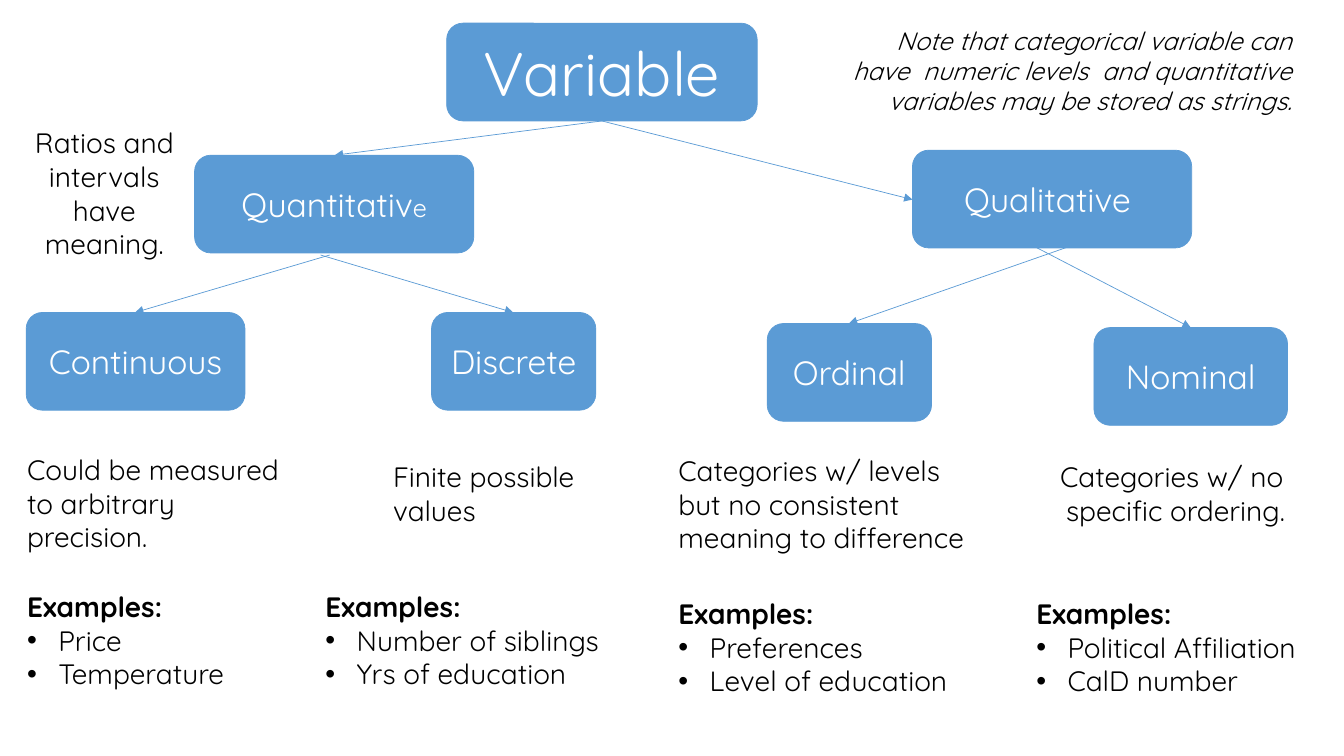
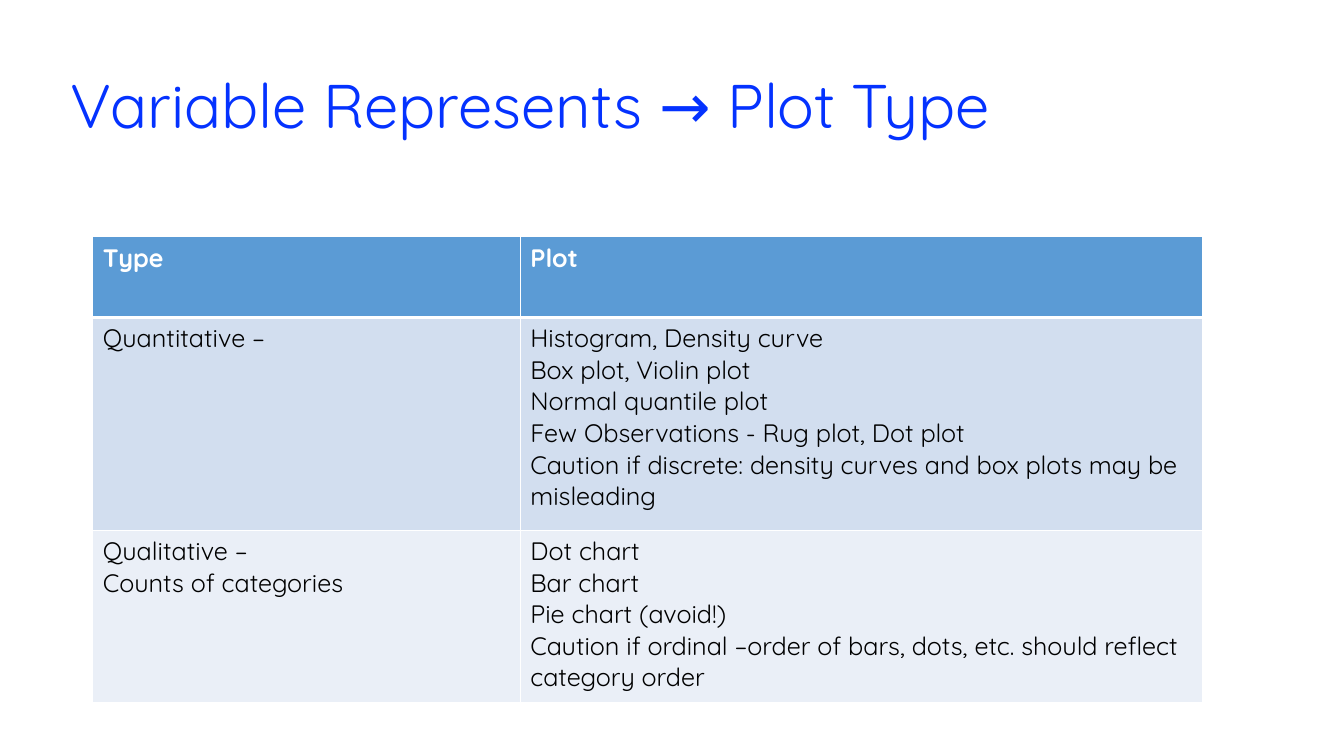
from lxml.etree import SubElement
from pptx import Presentation
from pptx.dml.color import RGBColor
from pptx.enum.shapes import MSO_CONNECTOR, MSO_SHAPE
from pptx.enum.text import MSO_ANCHOR, PP_ALIGN
from pptx.oxml.ns import qn
from pptx.util import Emu, Pt

# Shared style
PX = 9144  # 100 px to the inch
FONT = "Quicksand"
COLORS = {
    "blue": "5B9BD5",
    "title": "0432FF",
    "black": "000000",
    "white": "FFFFFF",
    "band dark": "D2DEEF",
    "band light": "EAEFF7",
}
LEFT, CENTER, RIGHT = PP_ALIGN.LEFT, PP_ALIGN.CENTER, PP_ALIGN.RIGHT


def px(*lengths):
    return [Emu(length * PX) for length in lengths]


def write(frame, text, size, color="black", align=LEFT, bold=False, italic=False):
    frame.word_wrap = True
    frame.text = text
    for para in frame.paragraphs:
        para.alignment = align
        for span in para.runs:
            span.font.name = FONT
            span.font.size = Pt(size)
            span.font.bold = bold
            span.font.italic = italic
            span.font.color.rgb = RGBColor.from_string(COLORS[color])


deck = Presentation()
deck.slide_width, deck.slide_height = px(1333, 750)
blank = deck.slide_layouts[6]
blue = RGBColor.from_string(COLORS["blue"])

# Slide 1: tree of variable types
page = deck.slides.add_slide(blank)

# Arrows between levels
arrows = [
    (597, 120, 332, 154),
    (597, 120, 905, 198),
    (327, 253, 134, 310),
    (318, 253, 509, 310),
    (1085, 236, 842, 321),
    (1021, 242, 1181, 325),
]
for ends in arrows:
    arrow = page.shapes.add_connector(MSO_CONNECTOR.STRAIGHT, *px(*ends))
    arrow.line.color.rgb = blue
    arrow.line.width = Pt(0.5)
    properties = arrow._element.spPr
    SubElement(properties.find(qn("a:ln")), qn("a:tailEnd"), type="triangle")
    SubElement(properties, qn("a:effectLst"))

# Nodes: text, left, top, width, font size
NODE_HEIGHT = 97
nodes = [
    ("Variable", 443, 23, 308, 44),
    ("Quantitative", 193, 154, 277, 24),
    ("Qualitative ", 905, 149, 277, 24),
    ("Continuous", 26, 310, 217, 24),
    ("Discrete", 428, 310, 163, 24),
    ("Ordinal", 761, 321, 163, 24),
    ("Nominal", 1085, 325, 192, 24),
]
for text, left, top, width, size in nodes:
    node = page.shapes.add_shape(
        MSO_SHAPE.ROUNDED_RECTANGLE, *px(left, top, width, NODE_HEIGHT))
    node.shadow.inherit = False
    node.fill.solid()
    node.fill.fore_color.rgb = blue
    node.line.color.rgb = blue
    node.line.width = Pt(0.5)
    node.text_frame.vertical_anchor = MSO_ANCHOR.MIDDLE
    write(node.text_frame, text, size, "white", CENTER)
    if text == "Quantitative":  # its last letter is smaller
        para = node.text_frame.paragraphs[0]
        para.runs[0].text = text[:-1]
        ending = para.add_run()
        ending.text = text[-1]
        ending.font.name = FONT
        ending.font.size = Pt(18)
        ending.font.color.rgb = RGBColor.from_string(COLORS["white"])

# Descriptions
descriptions = [
    ("Ratios and intervals have meaning.", 12, 120, 183, 145, CENTER),
    ("Could be measured to arbitrary precision.", 17, 444, 273, 111, LEFT),
    ("Finite possible values", 380, 451, 210, 77, LEFT),
    ("Categories w/ levels but no consistent meaning to difference",
     663, 445, 325, 111, LEFT),
    ("Categories w/ no \nspecific ordering.", 1006, 451, 320, 77, CENTER),
]
for text, left, top, width, height, align in descriptions:
    box = page.shapes.add_textbox(*px(left, top, width, height))
    write(box.text_frame, text, 20, align=align)

note = page.shapes.add_textbox(*px(817, 20, 474, 131))
write(note.text_frame,
      "Note that categorical variable can have  numeric levels  and "
      "quantitative variables may be stored as strings.",
      18, align=RIGHT, italic=True)

# Examples
INDENT = 31 * PX
examples = [
    ("Price\nTemperature", 17, 580),
    ("Number of siblings\nYrs of education", 313, 580),
    ("Preferences\nLevel of education", 663, 587),
    ("Political Affiliation\nCalD number", 1018, 587),
]
for items, left, top in examples:
    box = page.shapes.add_textbox(*px(left, top, 300, 111))
    write(box.text_frame, "Examples:\n" + items, 20)
    heading, *bullets = box.text_frame.paragraphs
    heading.runs[0].font.bold = True
    for para in bullets:
        properties = para._p.get_or_add_pPr()
        properties.set("marL", str(INDENT))
        properties.set("indent", str(-INDENT))
        SubElement(properties, qn("a:buFont"), typeface="Arial")
        SubElement(properties, qn("a:buChar"), char="•")

# Slide 2: plot for each type
page = deck.slides.add_slide(blank)
title = page.shapes.add_textbox(*px(60, 35, 1181, 145))
title.text_frame.vertical_anchor = MSO_ANCHOR.MIDDLE
write(title.text_frame, "Variable Represents → Plot Type", 44, "title")
title.text_frame.paragraphs[0].line_spacing = 0.9

# Table
columns = [424, 677]
rows = [
    (80, "blue", ["Type", "Plot"]),
    (211, "band dark", [
        "Quantitative –",
        "Histogram, Density curve\nBox plot, Violin plot\nNormal quantile plot\n"
        "Few Observations - Rug plot, Dot plot\n"
        "Caution if discrete: density curves and box plots may be misleading",
    ]),
    (171, "band light", [
        "Qualitative –\nCounts of categories",
        "Dot chart\nBar chart\nPie chart (avoid!)\n"
        "Caution if ordinal –order of bars, dots, etc. should reflect category order",
    ]),
]
table = page.shapes.add_table(
    len(rows), len(columns),
    *px(92, 235, sum(columns), sum(row[0] for row in rows))).table
for column, width in zip(table.columns, columns):
    column.width = Emu(width * PX)
for row_index, (height, color, texts) in enumerate(rows):
    is_header = row_index == 0
    table.rows[row_index].height = Emu(height * PX)
    # The rule under the header is thicker than the others
    borders = {"L": 1, "R": 1, "T": 3 if row_index == 1 else 1,
               "B": 3 if is_header else 1}
    for cell, text in zip(table.rows[row_index].cells, texts):
        properties = cell._tc.get_or_add_tcPr()
        for side, points in borders.items():
            border = SubElement(properties, qn("a:ln" + side), w=str(Pt(points)))
            border_fill = SubElement(border, qn("a:solidFill"))
            SubElement(border_fill, qn("a:srgbClr"), val=COLORS["white"])
        cell.fill.solid()
        cell.fill.fore_color.rgb = RGBColor.from_string(COLORS[color])
        write(cell.text_frame, text, 18,
              "white" if is_header else "black", bold=is_header)

deck.save("out.pptx")
